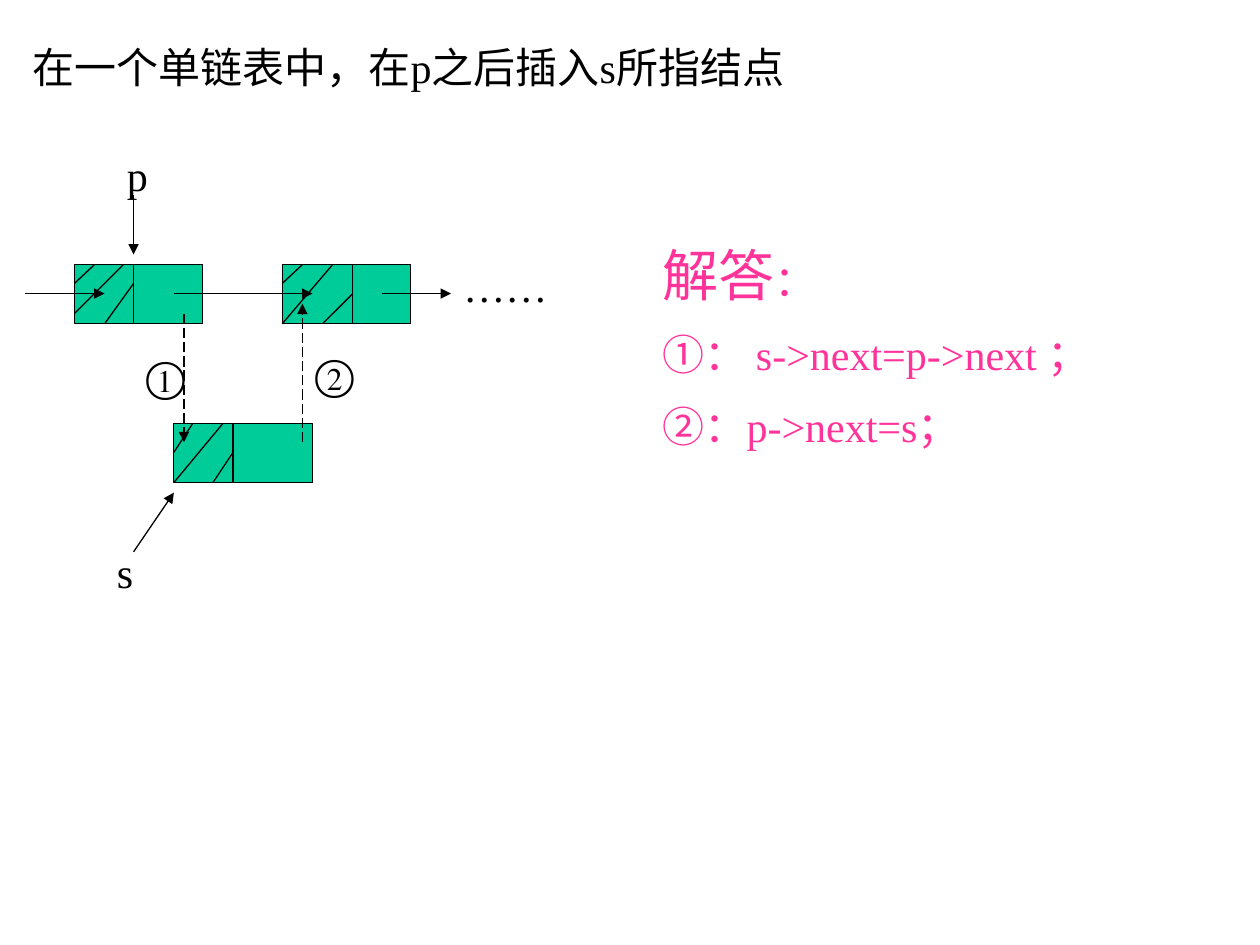
from lxml import etree
from pptx import Presentation
from pptx.dml.color import RGBColor
from pptx.enum.dml import MSO_LINE
from pptx.enum.shapes import MSO_CONNECTOR, MSO_SHAPE
from pptx.enum.text import MSO_ANCHOR, PP_ALIGN
from pptx.oxml.ns import qn
from pptx.util import Pt

PX = 9144
FONT = "Times New Roman"
BLACK, GREEN, PINK = "000000", "00CC99", "FF3399"


def color(value):
    """Return the colour for a hex string."""
    return RGBColor.from_string(value)


def scaled(*lengths):
    """Turn px lengths into EMU."""
    return [length * PX for length in lengths]


def write(shape, paragraphs, size=24, hue=BLACK):
    """Set the paragraphs of a shape and format their runs."""
    frame = shape.text_frame
    frame.word_wrap = True
    frame.vertical_anchor = MSO_ANCHOR.TOP
    frame.text = "\n".join(paragraphs)
    for index, paragraph in enumerate(frame.paragraphs):
        paragraph.alignment = PP_ALIGN.LEFT
        paragraph.space_before = Pt(12 if index else 0)
        for run in paragraph.runs:
            run.font.name = FONT
            run.font.size = Pt(size)
            run.font.color.rgb = color(hue)


def add_text(slide, box, paragraphs, hue=BLACK):
    """Add a wrapped text box."""
    shape = slide.shapes.add_textbox(*scaled(*box))
    write(shape, paragraphs, hue=hue)
    return shape


def add_line(slide, points, arrow=False, dashed=False):
    """Add a thin black line from start to end."""
    line = slide.shapes.add_connector(MSO_CONNECTOR.STRAIGHT, *scaled(*points))
    line.line.color.rgb = color(BLACK)
    line.line.width = Pt(0.75)
    if dashed:
        line.line.dash_style = MSO_LINE.LONG_DASH
    if arrow:
        etree.SubElement(line.line._get_or_add_ln(), qn("a:tailEnd"), type="triangle")
    etree.SubElement(line._element.spPr, qn("a:effectLst"))


def add_node(slide, box, divider, hatches):
    """Draw a list node with a hatched data field left of its divider."""
    left, top, width, height = box
    node = slide.shapes.add_shape(MSO_SHAPE.RECTANGLE, *scaled(*box))
    node.shadow.inherit = False
    node.fill.solid()
    node.fill.fore_color.rgb = color(GREEN)
    node.line.color.rgb = color(BLACK)
    node.line.width = Pt(0.75)
    for x1, y1, x2, y2 in [(divider, 0, divider, height), *hatches]:
        add_line(slide, (left + x1, top + y1, left + x2, top + y2))


def add_title(slide, box):
    """Place the question in the title placeholder."""
    title = slide.shapes.title
    title.left, title.top, title.width, title.height = scaled(*box)
    write(title, ["在一个单链表中，在p之后插入s所指结点"])


def add_diagram(slide, left, top):
    """Draw the linked list, the new node and the two pointer changes."""
    nodes = [
        ((39, 96, 102, 47), 47, [(16, 0, 0, 15), (39, 0, 0, 39), (47, 15, 24, 47)]),
        ((204, 96, 102, 47), 56, [(16, 0, 0, 15), (40, 0, 0, 47), (56, 23, 32, 47)]),
        ((118, 222, 110, 47), 47, [(15, 0, 0, 23), (39, 0, 0, 47), (47, 23, 31, 47)]),
    ]
    for (x, y, width, height), divider, hatches in nodes:
        add_node(slide, (left + x, top + y, width, height), divider, hatches)
    arrows = [
        ((86, 41, 86, 88), False),
        ((86, 324, 118, 277), False),
        ((0, 119, 63, 119), False),
        ((118, 119, 228, 119), False),
        ((283, 119, 338, 119), False),
        ((126, 135, 126, 237), True),
        ((220, 237, 220, 127), True),
    ]
    for (x1, y1, x2, y2), dashed in arrows:
        add_line(slide, (left + x1, top + y1, left + x2, top + y2), True, dashed)
    labels = [
        ("p", 71, 0, 63),
        ("s", 63, 315, 55),
        ("……", 338, 88, 102),
        ("①", 86, 159, 55),
        ("②", 220, 158, 55),
    ]
    for label, x, y, width in labels:
        add_text(slide, (left + x, top + y, width, 40), [label])


def add_answer(slide, box):
    """Write the two statements under a larger heading."""
    lines = ["解答", "①： s->next=p->next ；", "②：p->next=s；"]
    heading = add_text(slide, box, lines, PINK).text_frame.paragraphs[0]
    heading.runs[0].font.size = Pt(32)
    colon = heading.add_run()
    colon.text = "："
    colon.font.name = FONT
    colon.font.size = Pt(24)
    colon.font.color.rgb = color(PINK)


def main():
    """Build and save the slide."""
    presentation = Presentation()
    presentation.slide_width, presentation.slide_height = scaled(1000, 750)
    slide = presentation.slides.add_slide(presentation.slide_layouts[5])
    add_title(slide, (16, 28, 973, 50))
    add_diagram(slide, 20, 114)
    add_answer(slide, (516, 186, 425, 184))
    presentation.save("out.pptx")


if __name__ == "__main__":
    main()
